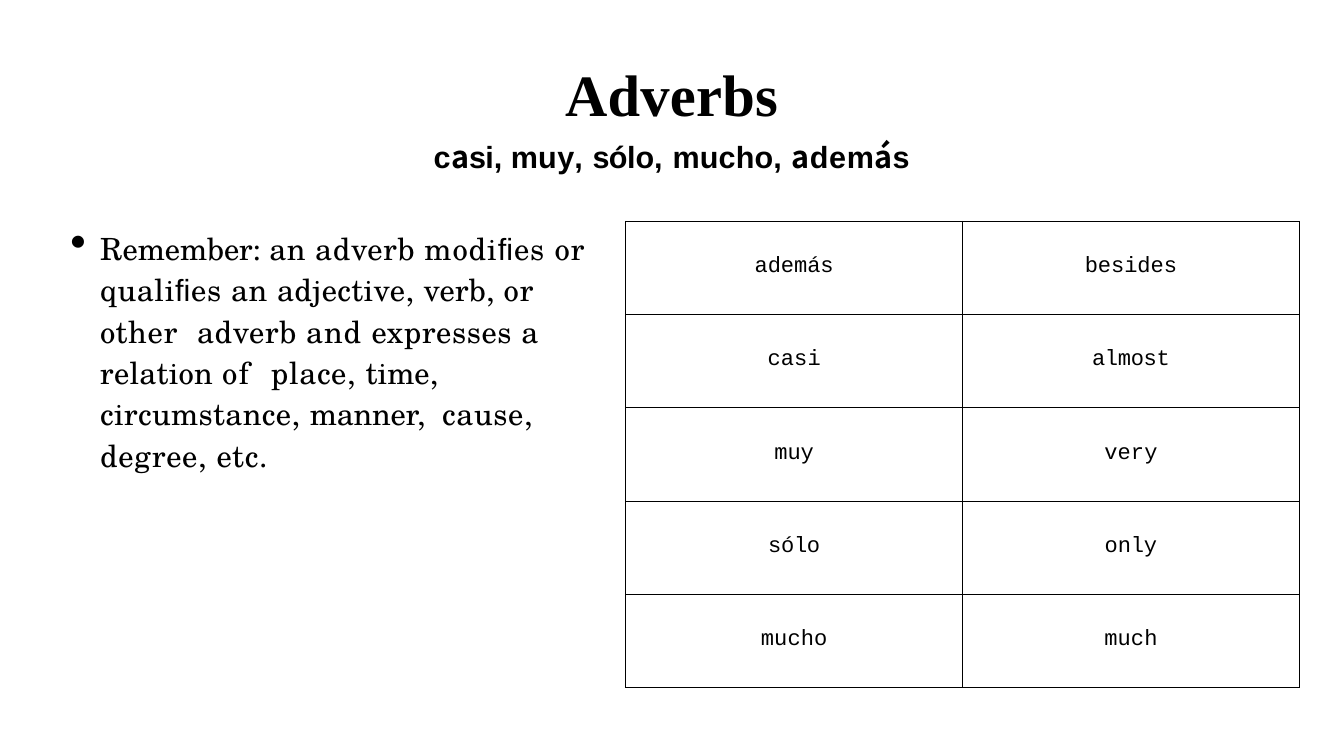
from lxml.etree import SubElement
from pptx import Presentation
from pptx.dml.color import RGBColor
from pptx.enum.text import MSO_ANCHOR, MSO_AUTO_SIZE, PP_ALIGN
from pptx.oxml.ns import qn
from pptx.util import Inches, Pt

COLOURS = {"ink": "000000", "paper": "FFFFFF"}
SERIF, SANS, ACCENT = "Times New Roman", "Arial", "Noto Sans CJK JP"
BODY, MONO = "TeX Gyre Schola", "Courier New"

SUBTITLE = [
    ("c", SANS, 0.5), ("a", ACCENT, -0.3), ("si", SANS, -0.8), (", ", SANS, -0.2),
    ("mu", SANS, 0.4), ("y", SANS, -2.6), (", ", SANS, 0.8), ("sól", SANS, -0.7),
    ("o", SANS, -1.6), (", ", SANS, 0.8), ("much", SANS, 0.2), ("o", SANS, -0.7),
    (", ", SANS, 0.8), ("a", ACCENT, -0.3), ("dem", SANS, 0.8), ("á", ACCENT, -0.3),
    ("s", SANS, -1.9),
]
DEFINITION = [
    ("Remember: ", BODY, -0.1), ("an ", BODY, 0.7), ("adverb ", BODY, 0.8),
    ("modi", BODY, 1.1), ("ﬁ", SANS, 1.1), ("es or ", BODY, 1.1),
    ("quali", BODY, 0.8), ("ﬁ", SANS, 0.8), ("es ", BODY, 0.8), ("an ", BODY, 0.7),
    ("adjective, ", BODY, 0.5), ("verb, ", BODY, 0.3), ("or ", BODY, 1.1),
    ("other  ", BODY, 1), ("adverb ", BODY, 0.8), ("and ", BODY, 1.1),
    ("expresses ", BODY, 0.7), ("a ", BODY, 2.2), ("relation ", BODY, 0.3),
    ("of  ", BODY, 1.9), ("place, ", BODY, 0.8), ("time, ", BODY, 0.1),
    ("circumstance, ", BODY, 0.5), ("manner,  ", BODY, -0.2),
    ("cause, degree, ", BODY, 0.8), ("etc.", BODY, 0.9),
]
VOCABULARY = [
    [("además", MONO, -0.1), ("besides", MONO, -0.1)],
    [("casi", MONO, 0.1), ("almost", MONO, -0.4)],
    [("muy", MONO, -0.1), ("very", MONO, 0.1)],
    [("sólo", MONO, -0.4), ("only", MONO, -0.2)],
    [("mucho", MONO, 0.1), ("much", MONO, 0.1)],
]


class LessonSlide:
    """Holds the lesson style and the slide being filled."""

    def __init__(self, deck):
        self.slide = deck.slides.add_slide(deck.slide_layouts[6])
        self.slide.background.fill.solid()
        self.slide.background.fill.fore_color.rgb = self.colour("paper")

    def colour(self, name):
        return RGBColor.from_string(COLOURS[name])

    def add_runs(self, paragraph, pieces, size, bold=False):
        for words, typeface, tracking in pieces:
            run = paragraph.add_run()
            run.text = words
            run.font.name, run.font.size, run.font.bold = typeface, Pt(size), bold
            run.font.color.rgb = self.colour("ink")
            run.font._element.set("spc", str(round(tracking * 100)))

    def text_frame(self, left, top, width, height, inset, anchor):
        box = self.slide.shapes.add_textbox(*map(Inches, (left, top, width, height)))
        frame = box.text_frame
        frame.word_wrap = True
        frame.auto_size = MSO_AUTO_SIZE.SHAPE_TO_FIT_TEXT
        frame.vertical_anchor = anchor
        frame.margin_left = frame.margin_right = frame.margin_bottom = 0
        frame.margin_top = Inches(inset)
        return frame

    def heading(self, title, subtitle):
        frame = self.text_frame(5.74, 0.64, 10.5, 2.22, 0.3, MSO_ANCHOR.MIDDLE)
        lines = [(frame.paragraphs[0], title, 69, 21.6),
                 (frame.add_paragraph(), subtitle, 36, 10.9)]
        for paragraph, pieces, size, gap in lines:
            paragraph.alignment = PP_ALIGN.CENTER
            paragraph.space_before = Pt(gap)
            self.add_runs(paragraph, pieces, size, bold=True)

    def bullet(self, pieces):
        frame = self.text_frame(1.13, 3.67, 8.65, 3.43, 0.01, MSO_ANCHOR.TOP)
        paragraph = frame.paragraphs[0]
        paragraph.line_spacing = 1.13
        paragraph.space_before = Pt(0.9)
        properties = paragraph._p.get_or_add_pPr()
        properties.set("marL", str(Inches(0.51)))
        properties.set("indent", str(Inches(-0.49)))
        SubElement(properties, qn("a:buSzPct"), val="151000")
        SubElement(properties, qn("a:buChar"), char="•")
        self.add_runs(paragraph, pieces, 36)

    def border(self, cell):
        properties = cell._tc.get_or_add_tcPr()
        for position, side in enumerate(("lnL", "lnR", "lnT", "lnB")):
            line = properties.makeelement(qn(f"a:{side}"), {"w": str(Pt(1))})
            fill = SubElement(line, qn("a:solidFill"))
            SubElement(fill, qn("a:srgbClr"), val=COLOURS["ink"])
            properties.insert(position, line)

    def vocabulary_table(self, rows):
        table = self.slide.shapes.add_table(
            len(rows), 2, Inches(10.24), Inches(3.62), Inches(11.02), Inches(7.63)).table
        table.first_row = table.horz_banding = False
        for row, pair in enumerate(rows):
            for column, word in enumerate(pair):
                cell = table.cell(row, column)
                cell.fill.background()
                self.border(cell)
                cell.margin_left = cell.margin_right = cell.margin_bottom = 0
                cell.margin_top = Inches(0.54)
                paragraph = cell.text_frame.paragraphs[0]
                paragraph.alignment = PP_ALIGN.CENTER
                self.add_runs(paragraph, [word], 26)


def main():
    deck = Presentation()
    deck.slide_width, deck.slide_height = Inches(21.99), Inches(12.37)
    adverbs = LessonSlide(deck)
    adverbs.heading([("Adverbs", SERIF, 0.3)], SUBTITLE)
    adverbs.bullet(DEFINITION)
    adverbs.vocabulary_table(VOCABULARY)
    deck.save("out.pptx")


if __name__ == "__main__":
    main()
